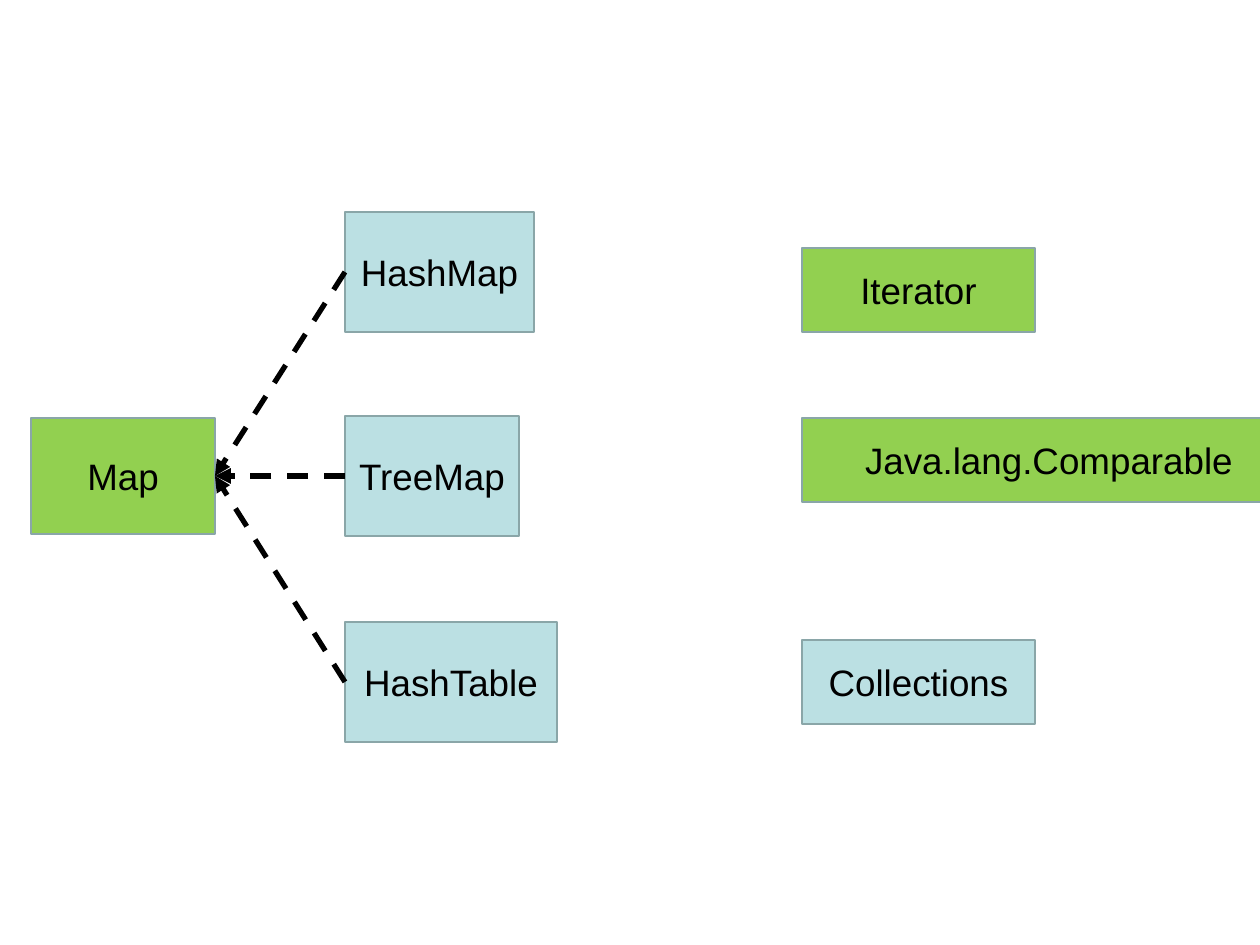
from lxml import etree
from pptx import Presentation
from pptx import util as u
from pptx.dml.color import RGBColor
from pptx.enum import dml, shapes, text
from pptx.oxml.ns import qn

PX = u.Inches(1) // 126
COLORS = {
    "interface": "92D050",
    "class": "BBE0E3",
    "outline": "8AA6A8",
    "ink": "000000",
}
ROOT = ("Map", "interface", 31, 418, 184, 116)
IMPLEMENTATIONS = [
    ("HashMap", "class", 345, 212, 189, 120),
    ("TreeMap", "class", 345, 416, 174, 120),
    ("HashTable", "class", 345, 622, 212, 120),
]
HELPERS = [
    ("Iterator", "interface", 802, 248, 233, 84),
    ("Java.lang.Comparable", "interface", 802, 418, 494, 84),
    ("Collections", "class", 802, 640, 233, 84),
]

prs = Presentation()
prs.slide_width, prs.slide_height = 1260 * PX, 945 * PX
slide = prs.slides.add_slide(prs.slide_layouts[6])


def rgb(name):
    return RGBColor.from_string(COLORS[name])


def write(box, wording, size=21, font="Arial", color="ink"):
    frame = box.text_frame
    frame.word_wrap = False
    frame.vertical_anchor = text.MSO_ANCHOR.MIDDLE
    paragraph = frame.paragraphs[0]
    paragraph.alignment = text.PP_ALIGN.CENTER
    run = paragraph.add_run()
    run.text = wording
    run.font.size = u.Pt(size)
    run.font.name = font
    run.font.color.rgb = rgb(color)


def add_type(wording, kind, *bounds):
    box = slide.shapes.add_shape(
        shapes.MSO_SHAPE.RECTANGLE, *(value * PX for value in bounds))
    box.shadow.inherit = False
    box.fill.solid()
    box.fill.fore_color.rgb = rgb(kind)
    box.line.color.rgb = rgb("outline")
    box.line.width = u.Pt(1)
    write(box, wording)
    return box


def add_implements(child, parent):
    arrow = slide.shapes.add_connector(shapes.MSO_CONNECTOR.STRAIGHT, 0, 0, 0, 0)
    arrow.begin_connect(child, 1)
    arrow.end_connect(parent, 3)
    arrow.line.color.rgb = rgb("ink")
    arrow.line.width = u.Pt(3)
    arrow.line.dash_style = dml.MSO_LINE.DASH
    etree.SubElement(arrow.line._get_or_add_ln(), qn("a:tailEnd"), type="triangle")
    etree.SubElement(arrow._element.spPr, qn("a:effectLst"))


root = add_type(*ROOT)
implementations = [add_type(*item) for item in IMPLEMENTATIONS]
for helper in HELPERS:
    add_type(*helper)
for implementation in implementations:
    add_implements(implementation, root)

prs.save("out.pptx")
